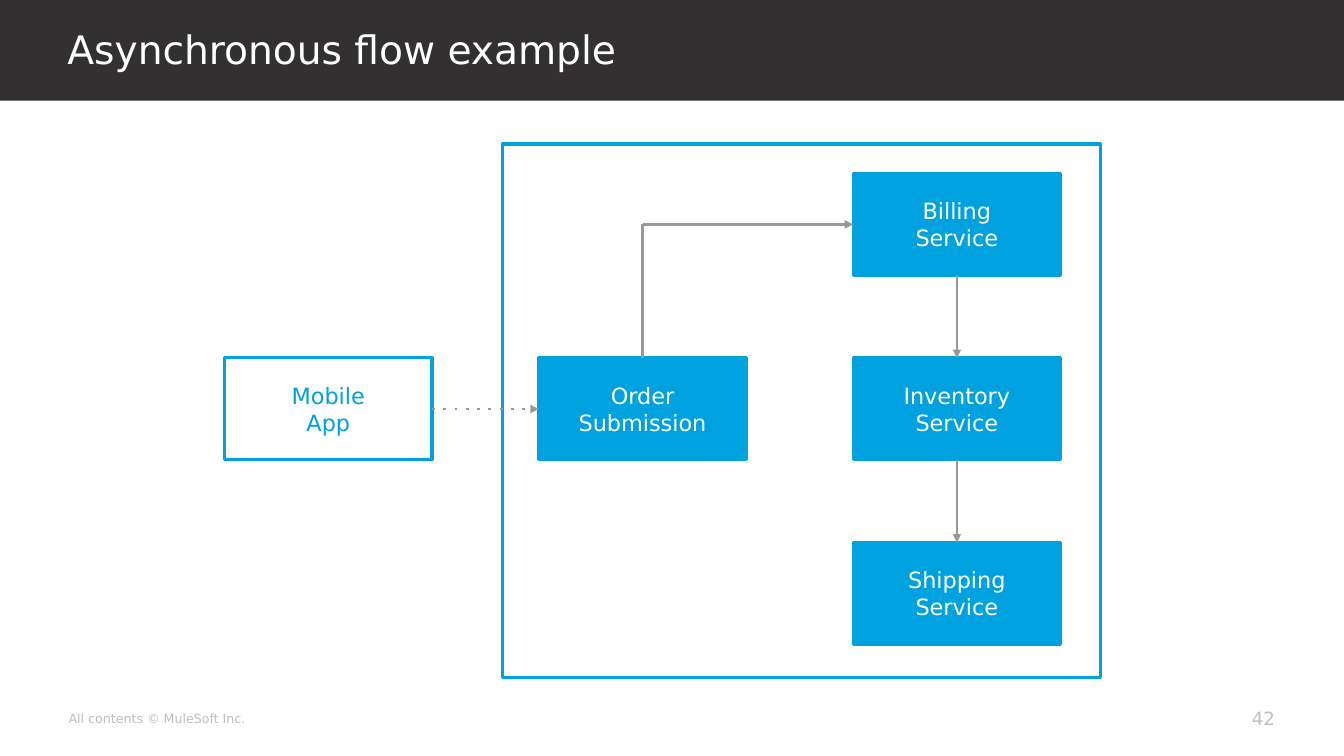
from dataclasses import dataclass
from typing import Optional

from lxml import etree
from pptx import Presentation
from pptx.dml.color import RGBColor
from pptx.enum.shapes import MSO_CONNECTOR, MSO_SHAPE
from pptx.enum.text import MSO_ANCHOR, PP_ALIGN
from pptx.oxml.ns import qn
from pptx.util import Cm, Pt

STRAIGHT = MSO_CONNECTOR.STRAIGHT
RECTANGLE = MSO_SHAPE.RECTANGLE
MIDDLE = MSO_ANCHOR.MIDDLE
LEFT, CENTER, RIGHT = PP_ALIGN.LEFT, PP_ALIGN.CENTER, PP_ALIGN.RIGHT

FONT = "DejaVu Sans"
BLUE, GRAY, DARK, PALE, WHITE = "00A1DF", "999899", "323031", "BFBFBF", "FFFFFF"
GRID_LEFT, GRID_TOP = 5.66, 4.37
COLUMN_STEP, ROW_STEP = 7.92, 4.65
BOX_WIDTH, BOX_HEIGHT = 5.23, 2.57
TOP_SITE, LEFT_SITE, BOTTOM_SITE, RIGHT_SITE = range(4)


@dataclass(frozen=True)
class Box:
    text: str
    column: int
    row: int
    filled: bool = True

    @property
    def left(self) -> float:
        return GRID_LEFT + self.column * COLUMN_STEP

    @property
    def top(self) -> float:
        return GRID_TOP + self.row * ROW_STEP


@dataclass(frozen=True)
class Link:
    start: Optional[tuple[Box, int]]
    end: Optional[tuple[Box, int]]
    dotted: bool = False


MOBILE = Box("Mobile\nApp", 0, 1, filled=False)
ORDER = Box("Order\nSubmission", 1, 1)
INVENTORY = Box("Inventory\nService", 2, 1)
BILLING = Box("Billing\nService", 2, 0)
SHIPPING = Box("Shipping\nService", 2, 2)
BOXES = [MOBILE, ORDER, INVENTORY, BILLING, SHIPPING]

CORNER = (Cm(ORDER.left + BOX_WIDTH / 2), Cm(BILLING.top + BOX_HEIGHT / 2))
LINKS = [
    Link((MOBILE, RIGHT_SITE), (ORDER, LEFT_SITE), dotted=True),
    Link((BILLING, BOTTOM_SITE), (INVENTORY, TOP_SITE)),
    Link((INVENTORY, BOTTOM_SITE), (SHIPPING, TOP_SITE)),
    Link((ORDER, TOP_SITE), None),
    Link(None, (BILLING, LEFT_SITE)),
]


def color(value: str) -> RGBColor:
    return RGBColor.from_string(value)


def format_text(text_frame, size: float, text_color: str, alignment) -> None:
    text_frame.word_wrap = True
    text_frame.vertical_anchor = MIDDLE
    for paragraph in text_frame.paragraphs:
        paragraph.alignment = alignment
        for run in paragraph.runs:
            run.font.name = FONT
            run.font.size = Pt(size)
            run.font.color.rgb = color(text_color)


def clear_margins(text_frame) -> None:
    text_frame.margin_left = text_frame.margin_right = 0
    text_frame.margin_top = text_frame.margin_bottom = 0


def draw_rectangle(slide, left: float, top: float, width: float, height: float,
                   fill: Optional[str], line: Optional[str]):
    shape = slide.shapes.add_shape(RECTANGLE, Cm(left), Cm(top), Cm(width), Cm(height))
    shape.shadow.inherit = False
    if fill:
        shape.fill.solid()
        shape.fill.fore_color.rgb = color(fill)
    else:
        shape.fill.background()
    if line:
        shape.line.color.rgb = color(line)
        shape.line.width = Pt(2.25)
    else:
        shape.line.fill.background()
    return shape


def draw_box(slide, box: Box):
    shape = draw_rectangle(slide, box.left, box.top, BOX_WIDTH, BOX_HEIGHT,
                           BLUE if box.filled else None, BLUE)
    shape.text_frame.text = box.text
    format_text(shape.text_frame, 16, WHITE if box.filled else BLUE, CENTER)
    return shape


def draw_link(slide, link: Link, shapes: dict) -> None:
    connector = slide.shapes.add_connector(STRAIGHT, *CORNER, *CORNER)
    if link.start:
        box, site = link.start
        connector.begin_connect(shapes[box], site)
    if link.end:
        box, site = link.end
        connector.end_connect(shapes[box], site)
    connector.line.color.rgb = color(GRAY)
    connector.line.width = Pt(2)
    properties = connector.element.spPr
    line = properties.find(qn("a:ln"))
    if link.dotted:
        etree.SubElement(line, qn("a:prstDash"), val="dot")
    if link.end:
        etree.SubElement(line, qn("a:tailEnd"), type="triangle")
    etree.SubElement(properties, qn("a:effectLst"))


def draw_header(slide) -> None:
    band = draw_rectangle(slide, 0, 0, 33.87, 2.54, DARK, None)
    title = slide.shapes.title
    band.element.addnext(title.element)
    title.left, title.top, title.width, title.height = Cm(1.7), Cm(0), Cm(26.34), Cm(2.51)
    title.text_frame.text = "Asynchronous flow example"
    clear_margins(title.text_frame)
    format_text(title.text_frame, 28, WHITE, LEFT)
    title.text_frame.paragraphs[0].line_spacing = Pt(32)


def draw_footer(slide, text: str, left: float, width: float, size: float, alignment) -> None:
    footer = slide.shapes.add_textbox(Cm(left), Cm(17.6), Cm(width), Cm(1.02))
    footer.text_frame.text = text
    clear_margins(footer.text_frame)
    format_text(footer.text_frame, size, PALE, alignment)


def main() -> None:
    presentation = Presentation()
    presentation.slide_width, presentation.slide_height = Cm(33.87), Cm(19.05)
    slide = presentation.slides.add_slide(presentation.slide_layouts[5])
    draw_header(slide)
    draw_footer(slide, "All contents © MuleSoft Inc.", 1.73, 9.4, 9, LEFT)
    draw_footer(slide, "42", 30.23, 1.9, 13, RIGHT)
    draw_rectangle(slide, 12.67, 3.63, 15.06, 13.44, None, BLUE)
    shapes = {box: draw_box(slide, box) for box in BOXES}
    for link in LINKS:
        draw_link(slide, link, shapes)
    presentation.save("out.pptx")


if __name__ == "__main__":
    main()
